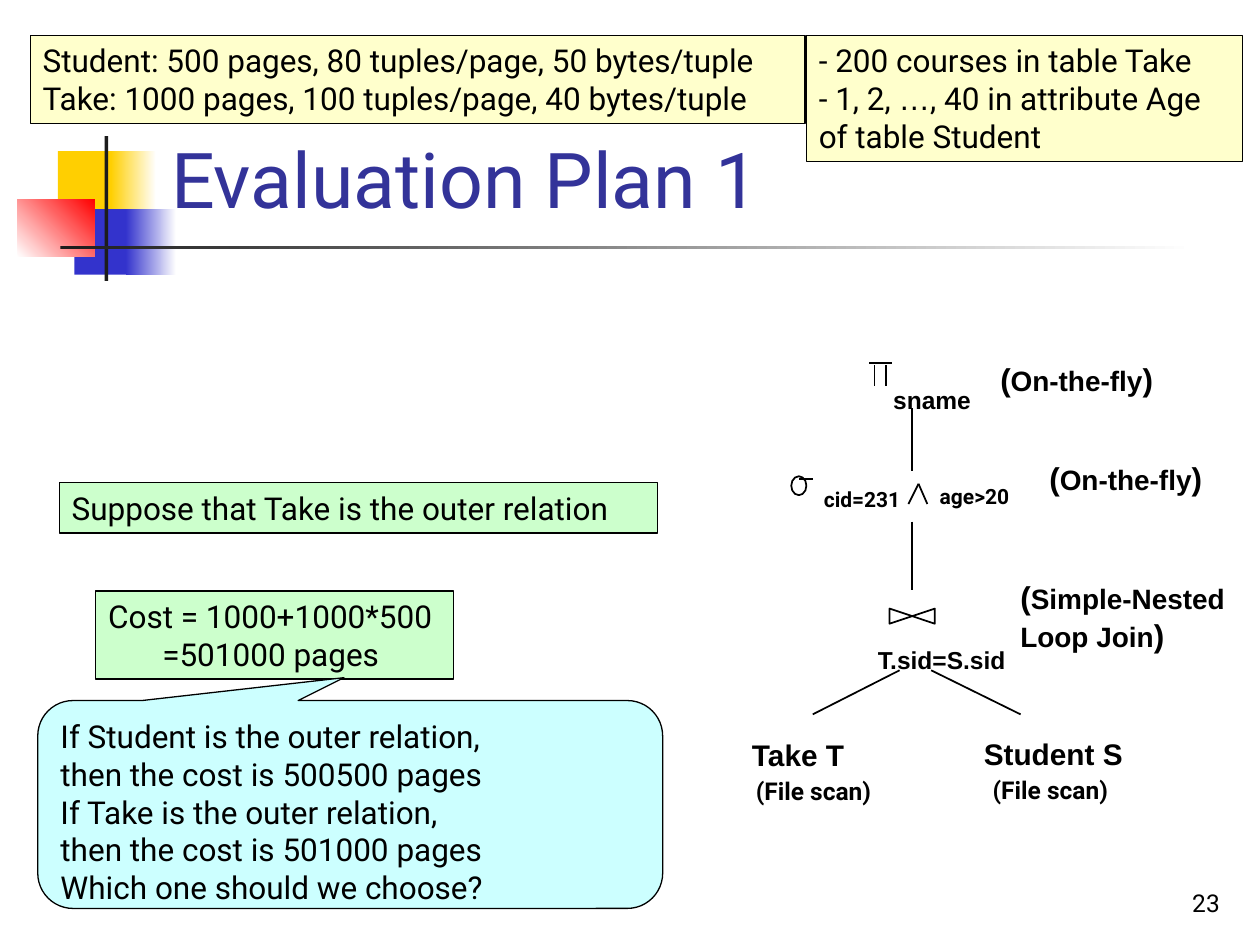
from dataclasses import dataclass

import pptx
import pptx.dml.color
import pptx.enum.dml
import pptx.enum.shapes
import pptx.enum.text
import pptx.oxml
import pptx.oxml.ns
import pptx.util
from pptx.util import Inches

SHAPES = pptx.enum.shapes.MSO_SHAPE
ANCHOR = pptx.enum.text.MSO_ANCHOR
ALIGN = pptx.enum.text.PP_ALIGN


@dataclass(frozen=True)
class Theme:
    """Colours, fonts and type sizes of the slide."""
    ink: str = "000000"
    title: str = "333399"
    paper: str = "FFFFFF"
    yellow: str = "FFCF01"
    blue: str = "3333CC"
    red: str = "FF0000"
    bar: str = "1C1C1C"
    facts: str = "FFFFCC"
    result: str = "CCFFCC"
    callout: str = "CCFFFF"
    body_font: str = "Roboto"
    tree_font: str = "Arial"
    title_size: int = 44
    body_size: int = 18
    table_size: int = 17
    method_size: int = 16
    small_size: int = 14
    condition_size: int = 12
    box_line: float = 0.75
    tree_line: float = 1


THEME = Theme()


def rgb(value):
    """Return the colour object for a hex value."""
    return pptx.dml.color.RGBColor.from_string(value)


def write_text(shape, paragraphs, size=THEME.body_size, font=THEME.body_font, color=THEME.ink,
               bold=False, align=ALIGN.LEFT, anchor=ANCHOR.TOP, wrap=False, indents=None):
    """Fill a shape with paragraphs, each a string or a list of (text, size, font) runs."""
    frame = shape.text_frame
    frame.word_wrap = wrap
    frame.vertical_anchor = anchor
    fit = pptx.enum.text.MSO_AUTO_SIZE
    frame.auto_size = fit.NONE if wrap else fit.SHAPE_TO_FIT_TEXT
    for index, content in enumerate(paragraphs):
        paragraph = frame.paragraphs[0] if index == 0 else frame.add_paragraph()
        paragraph.alignment = align
        if indents and indents[index]:
            paragraph._p.get_or_add_pPr().set("marL", str(Inches(indents[index])))
        runs = [(content, size, font)] if isinstance(content, str) else content
        for text, run_size, run_font in runs:
            run = paragraph.add_run()
            run.text = text
            run.font.size = pptx.util.Pt(run_size)
            run.font.name = run_font
            run.font.bold = bold
            run.font.color.rgb = rgb(color)


def add_label(slide, box, paragraphs, **text_format):
    """Add a text box."""
    shape = slide.shapes.add_textbox(*map(Inches, box))
    write_text(shape, paragraphs, **text_format)


def add_block(slide, box, fill, kind=SHAPES.RECTANGLE, outlined=False):
    """Add a flat preset shape with an optional thin outline."""
    shape = slide.shapes.add_shape(kind, *map(Inches, box))
    shape.shadow.inherit = False
    shape.fill.solid()
    shape.fill.fore_color.rgb = rgb(fill)
    if outlined:
        shape.line.color.rgb = rgb(THEME.ink)
        shape.line.width = pptx.util.Pt(THEME.box_line)
    else:
        shape.line.fill.background()
    return shape


def add_fade(slide, box, start, end, angle=0):
    """Add a rectangle that fades between two colours."""
    shape = add_block(slide, box, start)
    shape.fill.gradient()
    shape.fill.gradient_angle = angle
    for stop, position, color in zip(shape.fill.gradient_stops, (0, 1), (start, end)):
        stop.position = position
        stop.color.rgb = rgb(color)


def add_note(slide, box, fill, paragraphs, **text_format):
    """Add an outlined box with text."""
    shape = add_block(slide, box, fill, outlined=True)
    write_text(shape, paragraphs, **text_format)


def style_tree_line(shape):
    """Give a tree element its thin black line."""
    shape.line.color.rgb = rgb(THEME.ink)
    shape.line.width = pptx.util.Pt(THEME.tree_line)


def add_line(slide, x1, y1, x2, y2):
    """Add a straight line without shadow."""
    straight = pptx.enum.shapes.MSO_CONNECTOR.STRAIGHT
    connector = slide.shapes.add_connector(straight, *map(Inches, (x1, y1, x2, y2)))
    style_tree_line(connector)
    properties = connector._element.spPr
    properties.append(pptx.oxml.parse_xml(f"<a:effectLst {pptx.oxml.ns.nsdecls('a')}/>"))


def add_decoration(slide):
    """Add the coloured squares and bars beside the title."""
    add_block(slide, (0.46, 1.2, 0.48, 0.52), THEME.yellow)
    add_fade(slide, (0.88, 1.2, 0.36, 0.52), THEME.yellow, THEME.paper)
    add_block(slide, (0.59, 1.66, 0.46, 0.52), THEME.blue)
    add_fade(slide, (1, 1.66, 0.4, 0.52), THEME.blue, THEME.paper)
    add_fade(slide, (0.14, 1.58, 0.61, 0.46), THEME.paper, THEME.red, angle=45)
    add_block(slide, (0.83, 1.08, 0.03, 1.15), THEME.bar)
    add_fade(slide, (0.48, 1.95, 9, 0.03), THEME.bar, THEME.paper)


def add_operators(slide):
    """Draw the operator symbols and branches of the query tree."""
    sigma = add_block(slide, (6.28, 3.78, 0.12, 0.15), THEME.paper, SHAPES.OVAL)
    sigma.fill.background()
    style_tree_line(sigma)
    sigma_bar = (6.34, 3.8, 6.45, 3.8)
    projection = [(6.94, 2.9, 6.94, 3.06), (7.03, 2.9, 7.03, 3.06), (6.9, 2.88, 7.08, 2.88)]
    conjunction = [(7.21, 4, 7.29, 3.84), (7.29, 3.84, 7.36, 4)]
    branches = [(7.24, 3.24, 7.24, 3.74), (7.24, 4.14, 7.24, 4.68),
                (7.14, 5.32, 6.45, 5.67), (7.39, 5.32, 8.1, 5.67)]
    for ends in [sigma_bar, *projection, *conjunction, *branches]:
        add_line(slide, *ends)
    left, right, top, bottom = map(Inches, (7.06, 7.42, 4.83, 4.95))
    builder = slide.shapes.build_freeform(left, top)
    builder.add_line_segments([(right, bottom), (right, top), (left, bottom)], close=True)
    join = builder.convert_to_shape()
    join.shadow.inherit = False
    join.fill.background()
    style_tree_line(join)


def add_tree_labels(slide):
    """Label the operators, methods and tables of the query tree."""
    tree, body = THEME.tree_font, THEME.body_font
    labels = [
        ((5.87, 5.8, 1, 0.38), "Take T", THEME.table_size, tree),
        ((7.71, 5.79, 1.4, 0.38), "Student S", THEME.table_size, tree),
        ((6.87, 5.07, 1.23, 0.33), "T.sid=S.sid", THEME.small_size, tree),
        ((6.99, 3.01, 0.82, 0.33), "sname", THEME.small_size, tree),
        ((6.44, 3.81, 0.82, 0.3), "cid=231", THEME.condition_size, body),
        ((7.36, 3.79, 0.79, 0.3), "age>20", THEME.condition_size, body),
        ((5.9, 6.11, 1.16, 0.34), "(File scan)", THEME.small_size, body),
        ((7.78, 6.1, 1.16, 0.34), "(File scan)", THEME.small_size, body),
    ]
    for box, text, size, font in labels:
        add_label(slide, box, [text], size=size, font=font, bold=True)
    opening, closing = (("(", THEME.body_size, tree), (")", THEME.body_size, tree))
    methods = [((7.84, 2.81, 1.41, 0.4), ["On-the-fly"]),
               ((8.23, 3.59, 1.41, 0.4), ["On-the-fly"]),
               ((8, 4.54, 1.82, 0.7), ["Simple-Nested", "Loop Join"])]
    for box, lines in methods:
        paragraphs = [[(line, THEME.method_size, tree)] for line in lines]
        paragraphs[0].insert(0, opening)
        paragraphs[-1].append(closing)
        add_label(slide, box, paragraphs, bold=True)


def add_notes(slide):
    """Add the statistics, the costs and the closing question."""
    size, font = THEME.body_size, THEME.body_font
    add_note(slide, (0.24, 0.28, 6.15, 0.7), THEME.facts,
             ["Student: 500 pages, 80 tuples/page, 50 bytes/tuple",
              "Take: 1000 pages, 100 tuples/page, 40 bytes/tuple"])
    add_note(slide, (0.76, 4.69, 2.84, 0.7), THEME.result,
             ["Cost = 1000+1000*500", "=501000 pages"], indents=(0, 0.43))
    ages = [("- 1, 2, ", size, font), ("…", size, THEME.tree_font),
            (", 40 in attribute Age", size, font)]
    add_note(slide, (6.4, 0.28, 3.46, 1), THEME.facts,
             ["- 200 courses in table Take", ages, "of table Student"])
    add_note(slide, (0.47, 3.83, 4.75, 0.4), THEME.result,
             ["Suppose that Take is the outer relation"])
    callout = add_block(slide, (0.3, 5.56, 4.96, 1.65), THEME.callout,
                        SHAPES.ROUNDED_RECTANGULAR_CALLOUT, outlined=True)
    for index, value in enumerate((-0.01, -0.61, 0.17)):
        callout.adjustments[index] = value
    write_text(callout, ["If Student is the outer relation,", "then the cost is 500500 pages",
                         "If Take is the outer relation,", "then the cost is 501000 pages",
                         "Which one should we choose?"], wrap=True)


def main():
    """Build and save the slide."""
    presentation = pptx.Presentation()
    presentation.slide_width, presentation.slide_height = Inches(10), Inches(7.5)
    slide = presentation.slides.add_slide(presentation.slide_layouts[6])
    add_decoration(slide)
    add_label(slide, (7.7, 6.83, 2.08, 0.5), ["23"], size=THEME.small_size,
              align=ALIGN.RIGHT, anchor=ANCHOR.BOTTOM, wrap=True)
    add_label(slide, (1.26, 0.23, 8.52, 1.6), ["Evaluation Plan 1"], size=THEME.title_size,
              color=THEME.title, anchor=ANCHOR.BOTTOM, wrap=True)
    add_operators(slide)
    add_tree_labels(slide)
    add_notes(slide)
    presentation.save("out.pptx")


if __name__ == "__main__":
    main()
